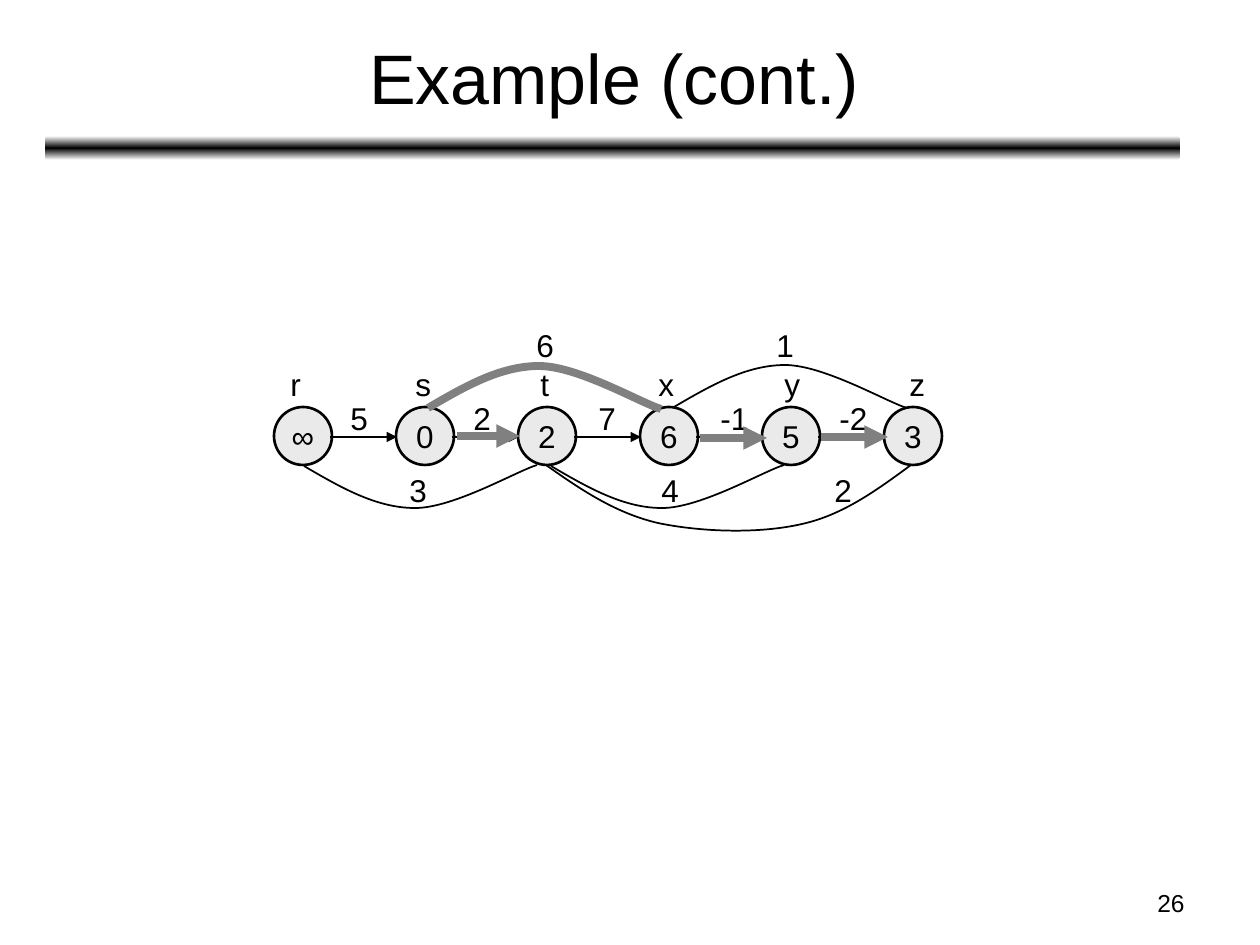
from copy import deepcopy
from dataclasses import dataclass

from lxml.etree import SubElement
from pptx import Presentation
from pptx.dml.color import RGBColor as Color
from pptx.enum.shapes import MSO_CONNECTOR as Connector, MSO_SHAPE as Shape
from pptx.enum.text import MSO_ANCHOR as Anchor, PP_ALIGN as Align
from pptx.oxml.ns import qn
from pptx.util import Pt


@dataclass
class Theme:
    font: str = "Arial"
    black: Color = Color(0, 0, 0)
    white: Color = Color(255, 255, 255)
    node: Color = Color(0xEA, 0xEA, 0xEA)
    chosen: Color = Color(0x80, 0x80, 0x80)
    title: int = 40
    label: int = 18
    number: int = 14


theme = Theme()
PX = 914400 / 126


def px(*lengths):
    return [round(length * PX) for length in lengths]


def write(box, text, size, align=Align.LEFT, anchor=Anchor.TOP, wrap=False):
    frame = box.text_frame
    frame.word_wrap = wrap
    frame.vertical_anchor = anchor
    para = frame.paragraphs[0]
    para.alignment = align
    span = para.add_run()
    span.text = text
    span.font.name = theme.font
    span.font.size = Pt(size)
    span.font.color.rgb = theme.black


deck = Presentation()
deck.slide_width, deck.slide_height = px(1260, 945)
page = deck.slides.add_slide(deck.slide_layouts[6])

# Gradient bar under the title
bar = page.shapes.add_shape(Shape.ROUNDED_RECTANGLE, *px(45, 136, 1135, 24))
bar.shadow.inherit = False
bar.line.fill.background()
bar.fill.gradient()
bar.fill.gradient_angle = 90
stop_list = bar.fill._xPr.find(qn("a:gradFill")).find(qn("a:gsLst"))
stop_list.append(deepcopy(stop_list[0]))
bar_colors = (theme.white, theme.black, theme.white)
for stop, position, color in zip(bar.fill.gradient_stops, (0, 0.5, 1), bar_colors):
    stop.position = position
    stop.color.rgb = color

# Page number and title
number = page.shapes.add_textbox(*px(903, 882, 294, 44))
write(number, "26", theme.number, Align.RIGHT, wrap=True)
title = page.shapes.add_textbox(*px(47, 14, 1134, 125))
write(title, "Example (cont.)", theme.title, Align.CENTER, Anchor.MIDDLE, True)

# Graph nodes, evenly spaced on one row
graph = page.shapes.add_group_shape().shapes
NODE_LEFT, NODE_TOP, NODE_SIZE, NODE_STEP = 274, 407, 58, 122
for index, distance in enumerate("∞02653"):
    left = NODE_LEFT + index * NODE_STEP
    node = graph.add_shape(Shape.OVAL, *px(left, NODE_TOP, NODE_SIZE, NODE_SIZE))
    node.shadow.inherit = False
    node.fill.solid()
    node.fill.fore_color.rgb = theme.node
    node.line.color.rgb = theme.black
    node.line.width = Pt(1.5)
    write(node, distance, theme.label, Align.CENTER, Anchor.MIDDLE)

# Node names and edge weights: (text, left, width) by row top
label_rows = {
    320: [("6", 524, 43), ("1", 764, 43)],
    359: [("r", 278, 35), ("s", 403, 42), ("t", 528, 34),
          ("x", 646, 42), ("y", 772, 42), ("z", 897, 42)],
    393: [("5", 338, 43), ("2", 461, 43), ("7", 586, 43),
          ("-1", 708, 53), ("-2", 827, 53)],
    465: [("3", 397, 43), ("4", 649, 43), ("2", 822, 43)],
}
for top, labels in label_rows.items():
    for text, left, width in labels:
        box = graph.add_textbox(*px(left, top, width, 50))
        write(box, text, theme.label)

# Straight edges: thin ones between all neighbours, thick ones where chosen
thin, thick = (theme.black, 1), (theme.chosen, 4.5)
EDGE_Y, EDGE_LENGTH = 437, 67
edges = [(330 + index * NODE_STEP, EDGE_Y, EDGE_LENGTH, thin) for index in range(5)]
edges += [(457, 436, 63, thick), (700, 438, 67, thick), (821, 437, 67, thick)]
for start, y, length, (color, weight) in edges:
    arrow = graph.add_connector(Connector.STRAIGHT, *px(start, y, start + length, y))
    arrow.line.color.rgb = color
    arrow.line.width = Pt(weight)
    SubElement(arrow.line._get_or_add_ln(), qn("a:tailEnd"), type="triangle")
    SubElement(arrow._element.spPr, qn("a:effectLst"))

# Curved edges: Bezier points as offsets from the start
arch = [(36, -21), (72, -42), (111, -42), (150, -42), (213, -5), (233, 1)]
dip = [(dx, -dy) for dx, dy in arch]
long_dip = [(34, 24), (69, 48), (112, 58), (155, 67), (213, 69),
            (256, 59), (297, 50), (331, 25), (365, 0)]
curves = [(427, 407, arch, thin), (674, 407, arch, thin),
          (551, 466, dip, thin), (304, 466, dip, thin),
          (546, 465, long_dip, thin), (428, 408, arch, thick)]
for x, y, offsets, (color, weight) in curves:
    builder = graph.build_freeform(*px(x, y))
    builder.add_line_segments([px(x + dx, y + dy) for dx, dy in offsets], close=False)
    curve = builder.convert_to_shape()
    curve.shadow.inherit = False
    curve.fill.background()
    curve.line.color.rgb = color
    curve.line.width = Pt(weight)
    # Every three points become one cubic segment
    segments = curve._element.xpath(".//a:lnTo")
    outline = segments[0].getparent()
    for first in range(0, len(segments), 3):
        cubic = SubElement(outline, qn("a:cubicBezTo"))
        for segment in segments[first:first + 3]:
            cubic.append(segment[0])
            outline.remove(segment)

deck.save("out.pptx")
